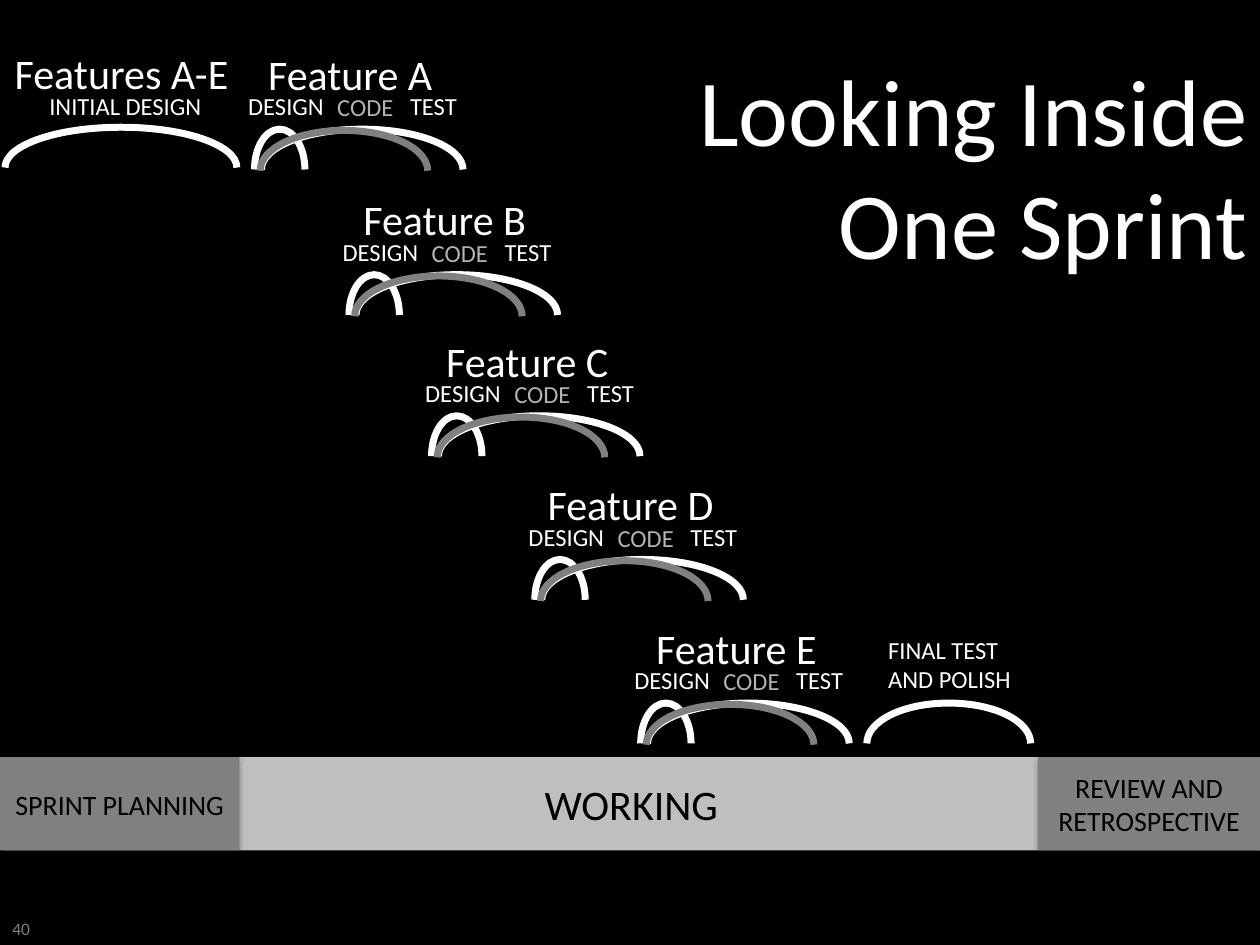
"""Build the slide that shows how features overlap inside one sprint."""
from lxml.etree import SubElement
from pptx import Presentation
from pptx.dml.color import RGBColor
from pptx.enum.shapes import MSO_SHAPE
from pptx.enum.text import MSO_ANCHOR, MSO_AUTO_SIZE, PP_ALIGN
from pptx.oxml.ns import qn
from pptx.util import Inches, Pt

BLACK = RGBColor(0x00, 0x00, 0x00)
WHITE = RGBColor(0xFF, 0xFF, 0xFF)
GRAY = RGBColor(0x80, 0x80, 0x80)
CODE_GRAY = RGBColor(0xB3, 0xB3, 0xB3)
SILVER = RGBColor(0xBF, 0xBF, 0xBF)

presentation = Presentation()
presentation.slide_width = Inches(10)
presentation.slide_height = Inches(7.5)
COLUMN = presentation.slide_width // 1000
ROW = presentation.slide_height // 750
ARC_HEIGHT = 32
ARC_CURVES = [[(1, 0.45), (0.78, 0), (0.5, 0)],
              [(0.22, 0), (0, 0.45), (0, 1)]]

slide = presentation.slides.add_slide(presentation.slide_layouts[6])
slide.background.fill.solid()
slide.background.fill.fore_color.rgb = BLACK
shapes = slide.shapes


def write(text, left, top, width, height, size=14, color=WHITE, indent=0,
          align=PP_ALIGN.CENTER, anchor=MSO_ANCHOR.TOP, fill=None):
    """Write text in a text box, or in a shadowed bar when a fill is given."""
    box = [int(left * COLUMN), int(top * ROW), width * COLUMN, height * ROW]
    if fill is None:
        shape = shapes.add_textbox(*box)
        shape.text_frame.auto_size = MSO_AUTO_SIZE.SHAPE_TO_FIT_TEXT
    else:
        shape = shapes.add_shape(MSO_SHAPE.RECTANGLE, *box)
        shape.fill.solid()
        shape.fill.fore_color.rgb = fill
        shape.line.fill.background()
        shape.shadow.inherit = False
        effects = shape._element.spPr.find(qn("a:effectLst"))
        shadow = SubElement(effects, qn("a:outerShdw"), blurRad=str(Pt(3.1)),
                            dist=str(Pt(1.8)), dir="5400000", rotWithShape="0")
        shade = SubElement(shadow, qn("a:srgbClr"), val=str(BLACK))
        SubElement(shade, qn("a:alpha"), val="35000")
    frame = shape.text_frame
    frame.word_wrap = True
    frame.vertical_anchor = anchor
    paragraph = frame.paragraphs[0]
    paragraph.text = text
    paragraph.alignment = align
    paragraph.font.size = Pt(size)
    paragraph.font.name = "Calibri"
    paragraph.font.color.rgb = color
    if indent:
        paragraph._p.get_or_add_pPr().set("marL", str(indent * COLUMN))


def draw_arc(left, top, width, color=WHITE):
    """Draw the upper half of an ellipse as two curves."""
    builder = shapes.build_freeform(left + width, top + ARC_HEIGHT, scale=COLUMN)
    builder.add_line_segments([(left + width / 2, top), (left, top + ARC_HEIGHT)],
                              close=False)
    arc = builder.convert_to_shape(0, 0)
    arc.left, arc.top = int(left * COLUMN), int(top * ROW)
    arc.width, arc.height = width * COLUMN, ARC_HEIGHT * ROW
    outline = next(arc._element.iter(qn("a:path")))
    outline.set("w", str(arc.width))
    outline.set("h", str(arc.height))
    start = next(outline.iter(qn("a:pt")))
    start.set("x", str(arc.width))
    start.set("y", str(arc.height))
    for line, curve in zip(outline.findall(qn("a:lnTo")), ARC_CURVES):
        outline.remove(line)
        bezier = SubElement(outline, qn("a:cubicBezTo"))
        for across, down in curve:
            SubElement(bezier, qn("a:pt"), x=str(int(across * arc.width)),
                       y=str(int(down * arc.height)))
    arc.fill.background()
    arc.line.color.rgb = color
    arc.line.width = Pt(4)
    arc.shadow.inherit = False


for left, top, width, height in [(0, 0, 1000, 750), (47, 103, 944, 46)]:
    backdrop = shapes.add_shape(MSO_SHAPE.RECTANGLE, left * COLUMN, top * ROW,
                                width * COLUMN, height * ROW)
    backdrop.fill.solid()
    backdrop.fill.fore_color.rgb = BLACK
    backdrop.line.fill.background()
    backdrop.shadow.inherit = False

write("40", 0, 698, 233, 52, size=10, color=GRAY, align=PP_ALIGN.LEFT,
      anchor=MSO_ANCHOR.BOTTOM)

features = [("A", 202, 102.5), ("B", 277, 218), ("C", 342.5, 330),
            ("D", 424.5, 444), ("E", 508.5, 558)]
for letter, left, top in features:
    write("DESIGN", left - 40, top - 35, 130, 34)
    write("CODE", left + 35, top - 34, 106, 34, color=CODE_GRAY)
    write("TEST", left + 66, top - 35, 129, 34, indent=23)
    draw_arc(left, top, 40)
    draw_arc(left + 5.5, top, 160)
    draw_arc(left + 4.5, top + 1, 133, color=GRAY)
    write(f"Feature {letter}", left - 27.5, top - 69, 207, 50, size=24)

write("INITIAL DESIGN", -6, 67, 211, 34)
draw_arc(4, 101, 184)
write("Features A-E", -7, 33, 207, 50, size=24)

write("FINAL TEST\vAND POLISH", 682, 499, 149, 57, align=PP_ALIGN.LEFT, indent=13)
draw_arc(688, 558, 130)

bars = [("WORKING", 2, 998, 24, SILVER),
        ("SPRINT PLANNING", 0, 190, 16, GRAY),
        ("REVIEW AND RETROSPECTIVE", 824, 176, 16, GRAY)]
for text, left, width, size, fill in bars:
    write(text, left, 601, width, 74, size=size, color=BLACK,
          anchor=MSO_ANCHOR.MIDDLE, fill=fill)

write("Looking Inside\vOne Sprint", 0, 36, 1000, 192, size=54,
      align=PP_ALIGN.RIGHT)

presentation.save("out.pptx")
